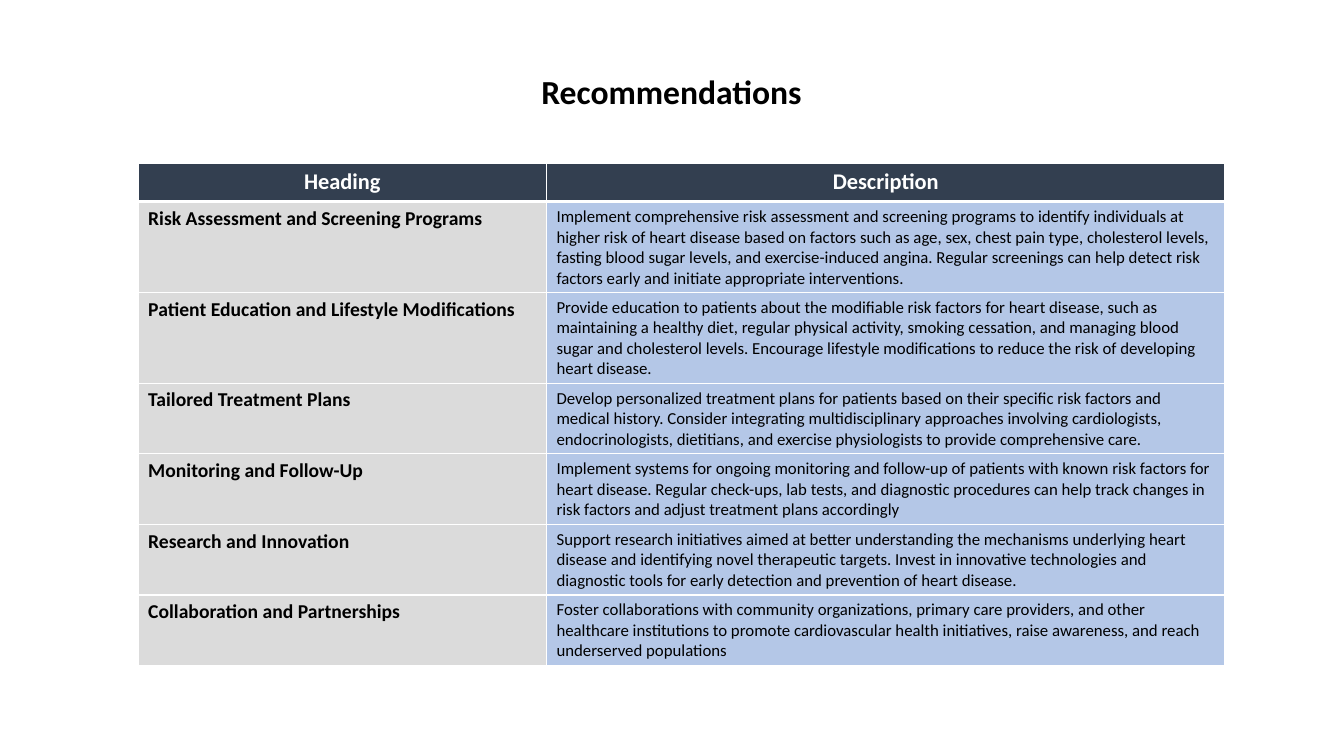
import dataclasses

import pptx
import pptx.dml.color
import pptx.enum.text
import pptx.oxml
import pptx.oxml.ns
import pptx.util

Inches = pptx.util.Inches
ALIGN = pptx.enum.text.PP_ALIGN


@dataclasses.dataclass(frozen=True)
class Theme:
    font: str = "Calibri"
    black: str = "000000"
    white: str = "FFFFFF"
    navy: str = "333F50"
    grey: str = "DBDBDB"
    blue: str = "B4C7E7"
    title: int = 24
    head: int = 16
    label: int = 14
    body: int = 12
    thin: int = 1
    thick: int = 3


THEME = Theme()

HEADS = ("Heading", "Description")
ITEMS = (
    ("Risk Assessment and Screening Programs",
     "Implement comprehensive risk assessment and screening programs to "
     "identify individuals at higher risk of heart disease based on factors "
     "such as age, sex, chest pain type, cholesterol levels, fasting blood "
     "sugar levels, and exercise-induced angina. Regular screenings can help "
     "detect risk factors early and initiate appropriate interventions."),
    ("Patient Education and Lifestyle Modifications",
     "Provide education to patients about the modifiable risk factors for "
     "heart disease, such as maintaining a healthy diet, regular physical "
     "activity, smoking cessation, and managing blood sugar and cholesterol "
     "levels. Encourage lifestyle modifications to reduce the risk of "
     "developing heart disease."),
    ("Tailored Treatment Plans",
     "Develop personalized treatment plans for patients based on their "
     "specific risk factors and medical history. Consider integrating "
     "multidisciplinary approaches involving cardiologists, "
     "endocrinologists, dietitians, and exercise physiologists to provide "
     "comprehensive care."),
    ("Monitoring and Follow-Up",
     "Implement systems for ongoing monitoring and follow-up of patients "
     "with known risk factors for heart disease. Regular check-ups, lab "
     "tests, and diagnostic procedures can help track changes in risk "
     "factors and adjust treatment plans accordingly"),
    ("Research and Innovation",
     "Support research initiatives aimed at better understanding the "
     "mechanisms underlying heart disease and identifying novel therapeutic "
     "targets. Invest in innovative technologies and diagnostic tools for "
     "early detection and prevention of heart disease."),
    ("Collaboration and Partnerships",
     "Foster collaborations with community organizations, primary care "
     "providers, and other healthcare institutions to promote "
     "cardiovascular health initiatives, raise awareness, and reach "
     "underserved populations"),
)


def rgb(color):
    return pptx.dml.color.RGBColor.from_string(color)


def set_text(frame, text, size, color, bold, align):
    frame.text = text
    para = frame.paragraphs[0]
    para.alignment = align
    font = para.runs[0].font
    font.name = THEME.font
    font.size = pptx.util.Pt(size)
    font.bold = bold
    font.color.rgb = rgb(color)


def set_edge(cell, side, width):
    props = cell._tc.get_or_add_tcPr()
    props.append(pptx.oxml.parse_xml(
        f'<a:ln{side} {pptx.oxml.ns.nsdecls("a")} w="{pptx.util.Pt(width)}">'
        f'<a:solidFill><a:srgbClr val="{THEME.white}"/></a:solidFill>'
        f'</a:ln{side}>'))


def set_cell(cell, text, size, color, bold, align, fill, top, base):
    set_text(cell.text_frame, text, size, color, bold, align)
    # Edges come before the fill in the cell properties
    for side, width in zip("LRTB", (THEME.thin, THEME.thin, top, base)):
        set_edge(cell, side, width)
    cell.fill.solid()
    cell.fill.fore_color.rgb = rgb(fill)


def add_title(slide, text):
    box = slide.shapes.add_textbox(
        Inches(1), Inches(0.65), Inches(11.32), Inches(0.5))
    frame = box.text_frame
    frame.word_wrap = True
    frame.auto_size = pptx.enum.text.MSO_AUTO_SIZE.SHAPE_TO_FIT_TEXT
    set_text(frame, text, THEME.title, THEME.black, True, ALIGN.CENTER)


def add_grid(slide, heads, items):
    shape = slide.shapes.add_table(
        len(items) + 1, len(heads),
        Inches(1.37), Inches(1.62), Inches(10.78), Inches(4.98))
    table = shape.table
    for col, width in zip(table.columns, (4.05, 6.73)):
        col.width = Inches(width)
    # Rows grow to fit their text
    for num, row in enumerate(table.rows):
        row.height = Inches(0.42 if num else 0.38)
    shape.height = Inches(4.98)

    # Header row
    for col, text in enumerate(heads):
        set_cell(table.cell(0, col), text, THEME.head, THEME.white, True,
                 ALIGN.CENTER, THEME.navy, THEME.thin, THEME.thick)

    # Body rows: bold label, plain description
    looks = ((THEME.label, True, THEME.grey), (THEME.body, False, THEME.blue))
    for num, item in enumerate(items, 1):
        top = THEME.thick if num == 1 else THEME.thin
        for col, (text, look) in enumerate(zip(item, looks)):
            size, bold, fill = look
            set_cell(table.cell(num, col), text, size, THEME.black, bold,
                     ALIGN.LEFT, fill, top, THEME.thin)


def main():
    deck = pptx.Presentation()
    deck.slide_width = Inches(13.33)
    deck.slide_height = Inches(7.5)
    slide = deck.slides.add_slide(deck.slide_layouts[6])
    add_title(slide, "Recommendations")
    add_grid(slide, HEADS, ITEMS)
    deck.save("out.pptx")


if __name__ == "__main__":
    main()
